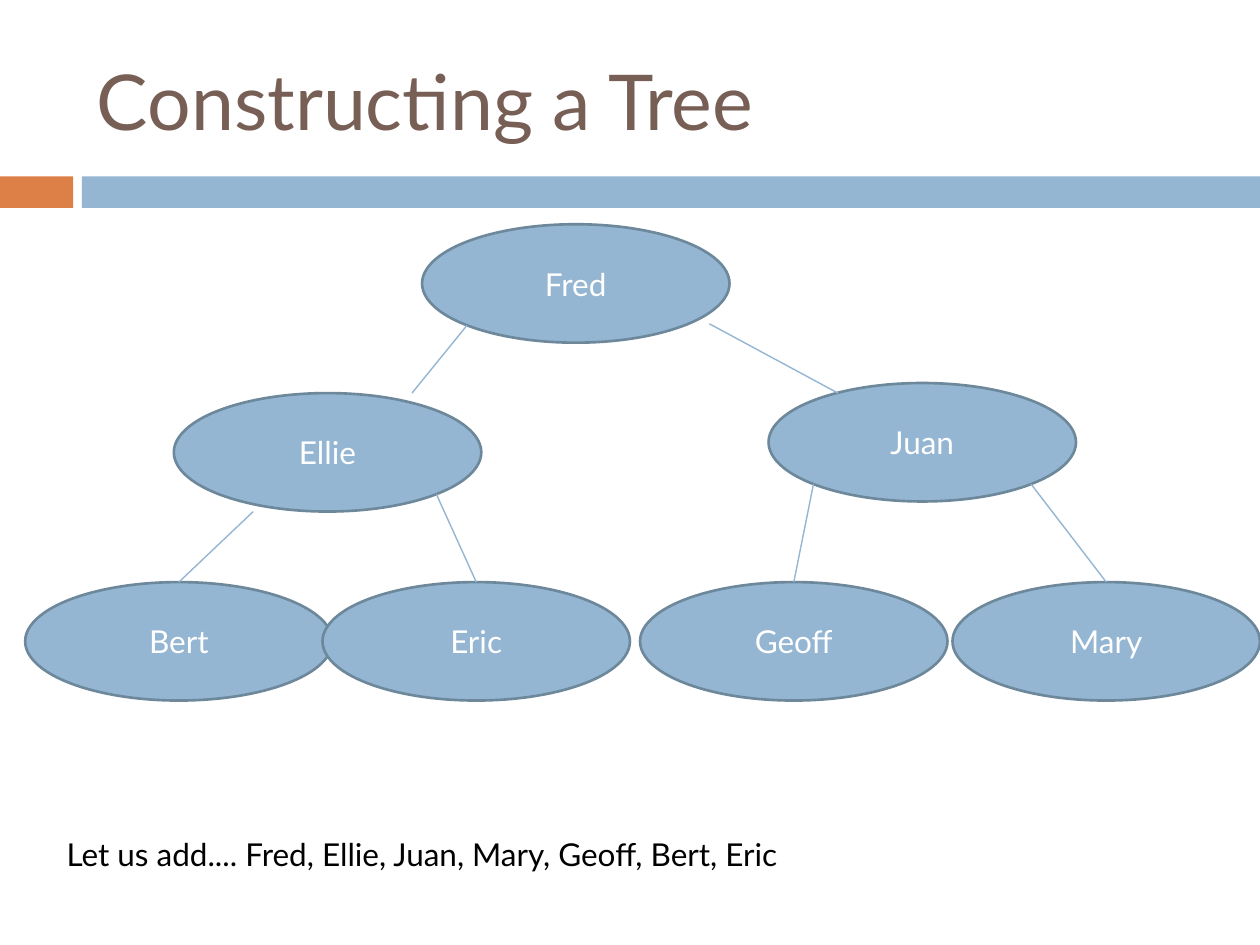
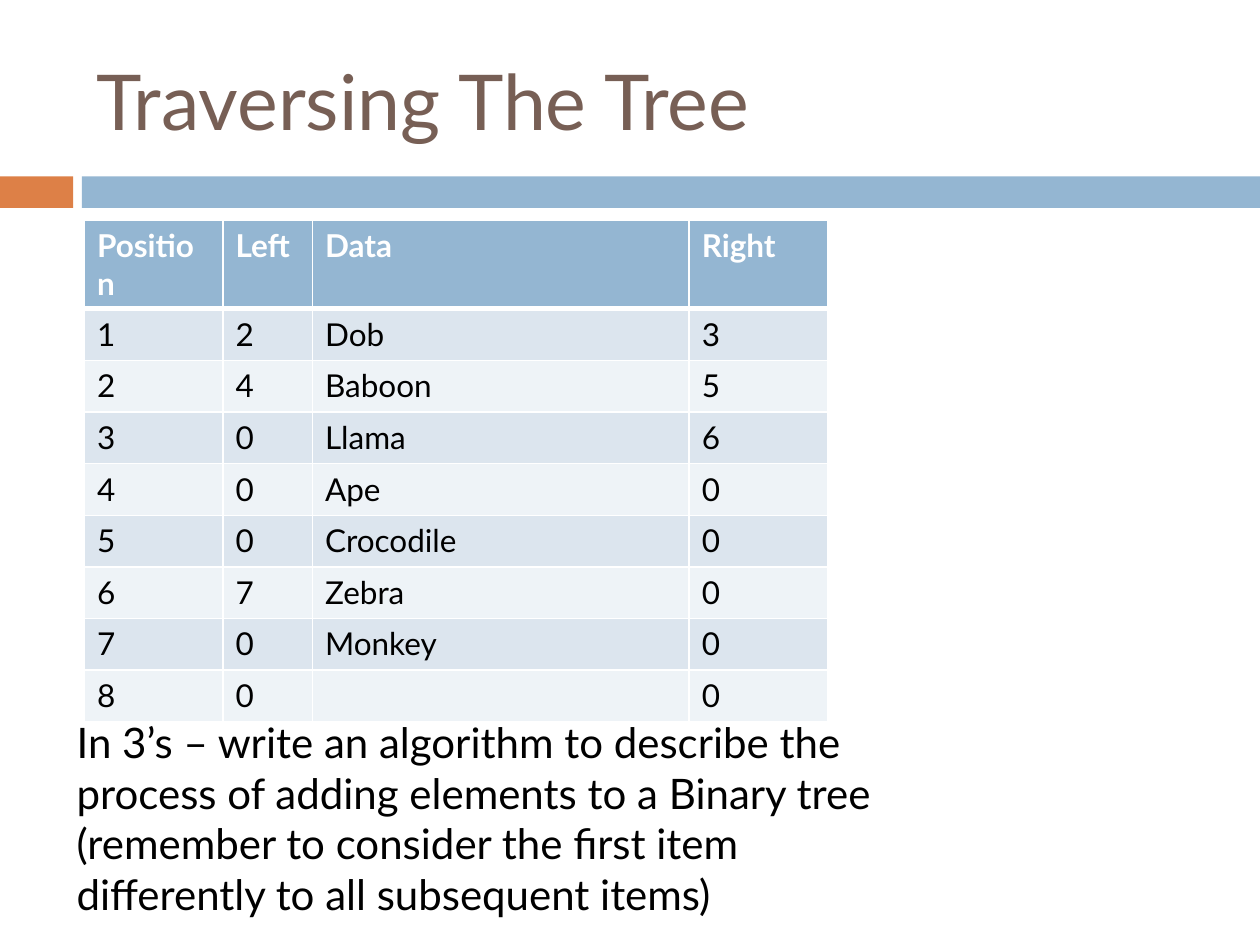
from lxml import etree
from pptx import Presentation
from pptx.dml.color import RGBColor
from pptx.enum import shapes, text
from pptx.oxml import ns
from pptx.util import Inches, Pt

FONT = "Lato"
BLUE = RGBColor(0x94, 0xB6, 0xD2)
OUTLINE = RGBColor(0x6D, 0x87, 0x9B)
ORANGE = RGBColor(0xDD, 0x80, 0x47)
BROWN = RGBColor(0x77, 0x5F, 0x55)
WHITE = RGBColor(0xFF, 0xFF, 0xFF)
BLACK = RGBColor(0, 0, 0)
BANDS = (RGBColor(0xDC, 0xE5, 0xEE), RGBColor(0xEE, 0xF3, 0xF7))

# Tree: top left corner of each node
NODE_W, NODE_H = 2.44, 0.94
LEAF_Y = 4.62
NODES = {
    "Fred": (3.35, 1.78),
    "Ellie": (1.38, 3.12),
    "Juan": (6.1, 3.04),
    "Mary": (7.56, LEAF_Y),
    "Geoff": (5.08, LEAF_Y),
    "Bert": (0.2, LEAF_Y),
    "Eric": (2.56, LEAF_Y),
}
# Each end is a (node, site) pair or a free (x, y) point
LINKS = [
    (("Fred", "lower left"), (3.27, 3.12)),
    ((5.63, 2.57), (6.65, 3.12)),
    ((2.01, 4.06), ("Bert", "top")),
    (("Ellie", "lower right"), ("Eric", "top")),
    (("Juan", "lower left"), ("Geoff", "top")),
    (("Juan", "lower right"), ("Mary", "top")),
]
# Sites on an ellipse, as shares of its width and height
SITES = {"top": (0.5, 0), "lower left": (0.146, 0.854),
         "lower right": (0.854, 0.854)}
TREE_NOTE = "Let us add.... Fred, Ellie, Juan, Mary, Geoff, Bert, Eric"

COLUMNS = [("Position", 1.1), ("Left", 0.71), ("Data", 2.99), ("Right", 1.1)]
ROW_H = 0.41
ROWS = [
    (1, 2, "Dob", 3),
    (2, 4, "Baboon", 5),
    (3, 0, "Llama", 6),
    (4, 0, "Ape", 0),
    (5, 0, "Crocodile", 0),
    (6, 7, "Zebra", 0),
    (7, 0, "Monkey", 0),
    (8, 0, "", 0),
]
TASK = ("In 3’s – write an algorithm to describe the process of adding "
        "elements to a Binary tree (remember to consider the first item "
        "differently to all subsequent items)")


def write(tf, words, size=18, color=BLACK, bold=False, align=None,
          anchor=None):
    """Put one formatted paragraph into a text frame."""
    tf.word_wrap = True
    if anchor is not None:
        tf.vertical_anchor = anchor
    p = tf.paragraphs[0]
    p.alignment = align
    p.font.size = Pt(size)
    if words:
        r = p.add_run()
        r.text = words
        r.font.name, r.font.size = FONT, Pt(size)
        r.font.bold, r.font.color.rgb = bold, color


def add_text(s, words, box, **fmt):
    """Add a text box at box = (left, top, width, height)."""
    sp = s.shapes.add_textbox(*map(Inches, box))
    write(sp.text_frame, words, **fmt)


def add_shape(s, kind, box, fill, line=None):
    """Add a flat filled shape, outlined if a line colour is given."""
    sp = s.shapes.add_shape(kind, *map(Inches, box))
    sp.shadow.inherit = False
    sp.fill.solid()
    sp.fill.fore_color.rgb = fill
    if line is None:
        sp.line.fill.background()
    else:
        sp.line.color.rgb, sp.line.width = line, Pt(1.5)
    return sp


def add_slide(prs, title):
    """Add a slide with the shared band and title."""
    s = prs.slides.add_slide(prs.slide_layouts[6])
    rect = shapes.MSO_SHAPE.RECTANGLE
    add_shape(s, rect, (0, 1.4, 0.58, 0.25), ORANGE)
    add_shape(s, rect, (0.65, 1.4, 9.35, 0.25), BLUE)
    add_text(s, title, (0.67, 0.25, 8.92, 1.08), size=44, color=BROWN,
             anchor=text.MSO_ANCHOR.MIDDLE)
    return s


def locate(end):
    """Turn a link end into slide coordinates."""
    if end[0] not in NODES:
        return end
    x, y = NODES[end[0]]
    dx, dy = SITES[end[1]]
    return x + dx * NODE_W, y + dy * NODE_H


def add_link(s, start, end):
    """Draw a thin straight line between two link ends."""
    points = [Inches(v) for v in (*locate(start), *locate(end))]
    c = s.shapes.add_connector(shapes.MSO_CONNECTOR.STRAIGHT, *points)
    c.line.color.rgb, c.line.width = BLUE, Pt(0.79)
    etree.SubElement(c._element.spPr, ns.qn("a:effectLst"))


def set_borders(cell, **widths):
    """Give a cell white borders; widths in points by side L, R, T, B."""
    tc_pr = cell._tc.get_or_add_tcPr()
    for side, width in widths.items():
        ln = etree.SubElement(tc_pr, ns.qn("a:ln" + side), w=str(Pt(width)))
        fill = etree.SubElement(ln, ns.qn("a:solidFill"))
        etree.SubElement(fill, ns.qn("a:srgbClr"), val=str(WHITE))


def add_table(s, left, top):
    """Add the table of tree positions with banded rows."""
    rows = [[name for name, _ in COLUMNS], *ROWS]
    width = sum(w for _, w in COLUMNS)
    table = s.shapes.add_table(
        len(rows), len(COLUMNS), Inches(left), Inches(top), Inches(width),
        Inches(ROW_H * len(rows))).table
    for column, (_, w) in zip(table.columns, COLUMNS):
        column.width = Inches(w)
    for i, values in enumerate(rows):
        table.rows[i].height = Inches(ROW_H)
        head = i == 0
        for j, value in enumerate(values):
            cell = table.cell(i, j)
            set_borders(cell, L=1, R=1, T=3 if i == 1 else 1,
                        B=3 if head else 1)
            cell.fill.solid()
            cell.fill.fore_color.rgb = BLUE if head else BANDS[(i - 1) % 2]
            write(cell.text_frame, str(value), bold=head,
                  color=WHITE if head else BLACK)


def build_tree(prs):
    """Build the slide with the binary tree."""
    s = add_slide(prs, "Constructing a Tree")
    for name, corner in NODES.items():
        sp = add_shape(s, shapes.MSO_SHAPE.OVAL, (*corner, NODE_W, NODE_H),
                       BLUE, OUTLINE)
        write(sp.text_frame, name, color=WHITE, align=text.PP_ALIGN.CENTER,
              anchor=text.MSO_ANCHOR.MIDDLE)
    for start, end in LINKS:
        add_link(s, start, end)
    add_text(s, TREE_NOTE, (0.43, 6.58, 9.21, 0.4))


def build_traversal(prs):
    """Build the slide with the position table and the task."""
    s = add_slide(prs, "Traversing The Tree")
    add_table(s, 0.67, 1.75)
    add_text(s, TASK, (0.51, 5.64, 6.77, 1.72), size=24)


prs = Presentation()
prs.slide_width, prs.slide_height = Inches(10), Inches(7.5)
build_tree(prs)
build_traversal(prs)
prs.save("out.pptx")
